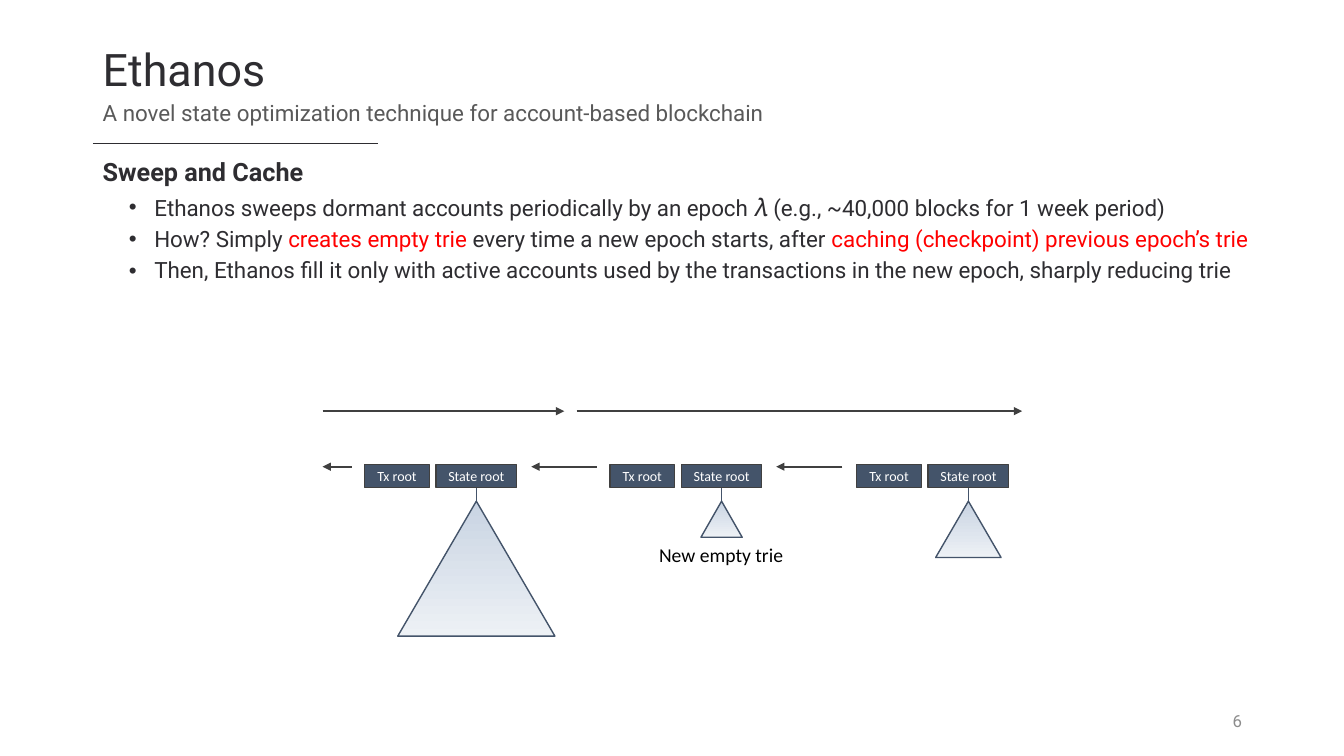
"""Build the Ethanos slide on sweeping and caching state tries."""
from dataclasses import dataclass

from lxml.etree import SubElement
from pptx import Presentation
from pptx.dml.color import RGBColor
from pptx.enum.shapes import MSO_CONNECTOR, MSO_SHAPE
from pptx.enum.text import MSO_ANCHOR, PP_ALIGN
from pptx.oxml.ns import qn
from pptx.util import Cm, Pt

HUES = {
    "ink": "2E2D31", "gray": "595959", "pale": "8C8C8C", "red": "FF0000",
    "edge": "404040", "slate": "44546A", "white": "FFFFFF", "black": "000000",
    "top": "C9D4E3", "base": "EDF1F5",
}
LEFT = 2.34
ROW, TALL = 11.71, 0.58
PEAK = 12.63


@dataclass
class Label:
    text: str
    x: float
    y: float
    w: float
    h: float
    size: int
    hue: str
    font: str = "Roboto"
    align: PP_ALIGN = PP_ALIGN.JUSTIFY
    anchor: MSO_ANCHOR = MSO_ANCHOR.MIDDLE
    wrap: bool = True
    lead: float = 0.9


@dataclass
class Stroke:
    start: float
    end: float
    y: float


@dataclass
class Block:
    x: float
    base: float
    height: float


@dataclass
class Part:
    text: str
    hue: str = ""
    font: str = ""
    size: int = 0


LABELS = [
    Label("Ethanos", LEFT, 1.17, 29.21, 1.3, 32, "ink"),
    Label("A novel state optimization technique for account-based blockchain",
          LEFT, 2.46, 29.21, 0.84, 16, "gray"),
    Label("6", 23.93, 17.65, 7.62, 1.02, 12, "pale", align=PP_ALIGN.RIGHT, lead=1),
    Label("New empty trie", 16.36, 13.56, 3.66, 0.86, 14, "black", "Calibri",
          PP_ALIGN.LEFT, MSO_ANCHOR.TOP, False, 1),
]
ARROWS = [
    Stroke(8.13, 14.22, 10.36), Stroke(14.53, 25.76, 10.36),
    Stroke(8.86, 8.13, 11.76), Stroke(15.04, 13.39, 11.76), Stroke(21.23, 19.56, 11.76),
]
BLOCKS = [Block(9.19, 3.96, 3.4), Block(15.37, 1.04, 0.91), Block(21.59, 1.65, 1.42)]
POINTS = [
    [Part("Ethanos sweeps dormant accounts periodically by an epoch "),
     Part("𝜆", font="Calibri", size=18),
     Part(" (e.g., ~40,000 blocks for 1 week period)")],
    [Part("How? Simply "), Part("creates empty trie ", "red"),
     Part("every time a new epoch starts, after "),
     Part("caching (checkpoint) previous epoch’s trie", "red")],
    [Part("Then, Ethanos fill it only with active accounts used by the "
          "transactions in the new epoch, sharply reducing trie")],
]


def tint(name: str) -> RGBColor:
    return RGBColor.from_string(HUES[name])


def style(font, name: str, size: int, hue: str, bold: bool = False) -> None:
    font.name, font.size, font.bold = name, Pt(size), bold
    font.color.rgb = tint(hue)


def write(slide, item: Label) -> None:
    box = slide.shapes.add_textbox(Cm(item.x), Cm(item.y), Cm(item.w), Cm(item.h))
    frame = box.text_frame
    frame.word_wrap, frame.vertical_anchor = item.wrap, item.anchor
    para = frame.paragraphs[0]
    para.text, para.alignment, para.line_spacing = item.text, item.align, item.lead
    style(para.font, item.font, item.size, item.hue)


def outline(slide) -> None:
    box = slide.shapes.add_textbox(Cm(LEFT), Cm(3.91), Cm(30.56), Cm(13.26))
    frame = box.text_frame
    frame.word_wrap = True
    head = frame.paragraphs[0]
    head.text, head.line_spacing = "Sweep and Cache", 0.9
    style(head.font, "Roboto", 18, "ink", True)
    for point in POINTS:
        para = frame.add_paragraph()
        para.line_spacing, para.space_before = 0.9, Pt(5)
        props = para._p.get_or_add_pPr()
        props.set("marL", str(Cm(1.3)))
        props.set("indent", str(Cm(-0.64)))
        SubElement(props, qn("a:buFont"), typeface="Arial")
        SubElement(props, qn("a:buChar"), char="•")
        style(para.font, "Roboto", 16, "ink")
        for part in point:
            run = para.add_run()
            run.text = part.text
            if part.hue:
                run.font.color.rgb = tint(part.hue)
            if part.font:
                run.font.name, run.font.size = part.font, Pt(part.size)


def line(slide, x: float, y: float, end: float, low: float,
         hue: str, width: float, arrow: bool = False) -> None:
    link = slide.shapes.add_connector(MSO_CONNECTOR.STRAIGHT, Cm(x), Cm(y), Cm(end), Cm(low))
    link.line.color.rgb, link.line.width = tint(hue), Pt(width)
    if arrow:
        SubElement(link.line._get_or_add_ln(), qn("a:tailEnd"), type="triangle")
    SubElement(link._element.spPr, qn("a:effectLst"))


def shape(slide, kind: MSO_SHAPE, x: float, y: float, w: float, h: float, edge: str):
    item = slide.shapes.add_shape(kind, Cm(x), Cm(y), Cm(w), Cm(h))
    item.shadow.inherit = False
    item.line.color.rgb, item.line.width = tint(edge), Pt(1)
    return item


def root(slide, text: str, x: float, w: float) -> None:
    item = shape(slide, MSO_SHAPE.RECTANGLE, x, ROW, w, TALL, "edge")
    item.fill.solid()
    item.fill.fore_color.rgb = tint("slate")
    frame = item.text_frame
    frame.margin_left = frame.margin_right = frame.margin_top = frame.margin_bottom = 0
    frame.vertical_anchor = MSO_ANCHOR.MIDDLE
    para = frame.paragraphs[0]
    para.text, para.alignment = text, PP_ALIGN.CENTER
    style(para.font, "Calibri", 10, "white")


def block(slide, item: Block) -> None:
    state, wide = item.x + 1.8, 2.03
    mid = state + wide / 2
    root(slide, "Tx root", item.x, 1.63)
    root(slide, "State root", state, wide)
    line(slide, mid, PEAK, mid, ROW + TALL, "slate", 1)
    trie = shape(slide, MSO_SHAPE.ISOSCELES_TRIANGLE, mid - item.base / 2, PEAK,
                 item.base, item.height, "slate")
    trie.fill.gradient()
    trie.fill.gradient_angle = 270
    for stop, hue in zip(trie.fill.gradient_stops, ("top", "base")):
        stop.color.rgb = tint(hue)


def main() -> None:
    deck = Presentation()
    deck.slide_width, deck.slide_height = Cm(33.87), Cm(19.05)
    slide = deck.slides.add_slide(deck.slide_layouts[6])
    line(slide, LEFT, 3.61, 9.53, 3.61, "ink", 0.5)
    outline(slide)
    for item in BLOCKS:
        block(slide, item)
    for arrow in ARROWS:
        line(slide, arrow.start, arrow.y, arrow.end, arrow.y, "edge", 1.5, True)
    for label in LABELS:
        write(slide, label)
    deck.save("out.pptx")


if __name__ == "__main__":
    main()
